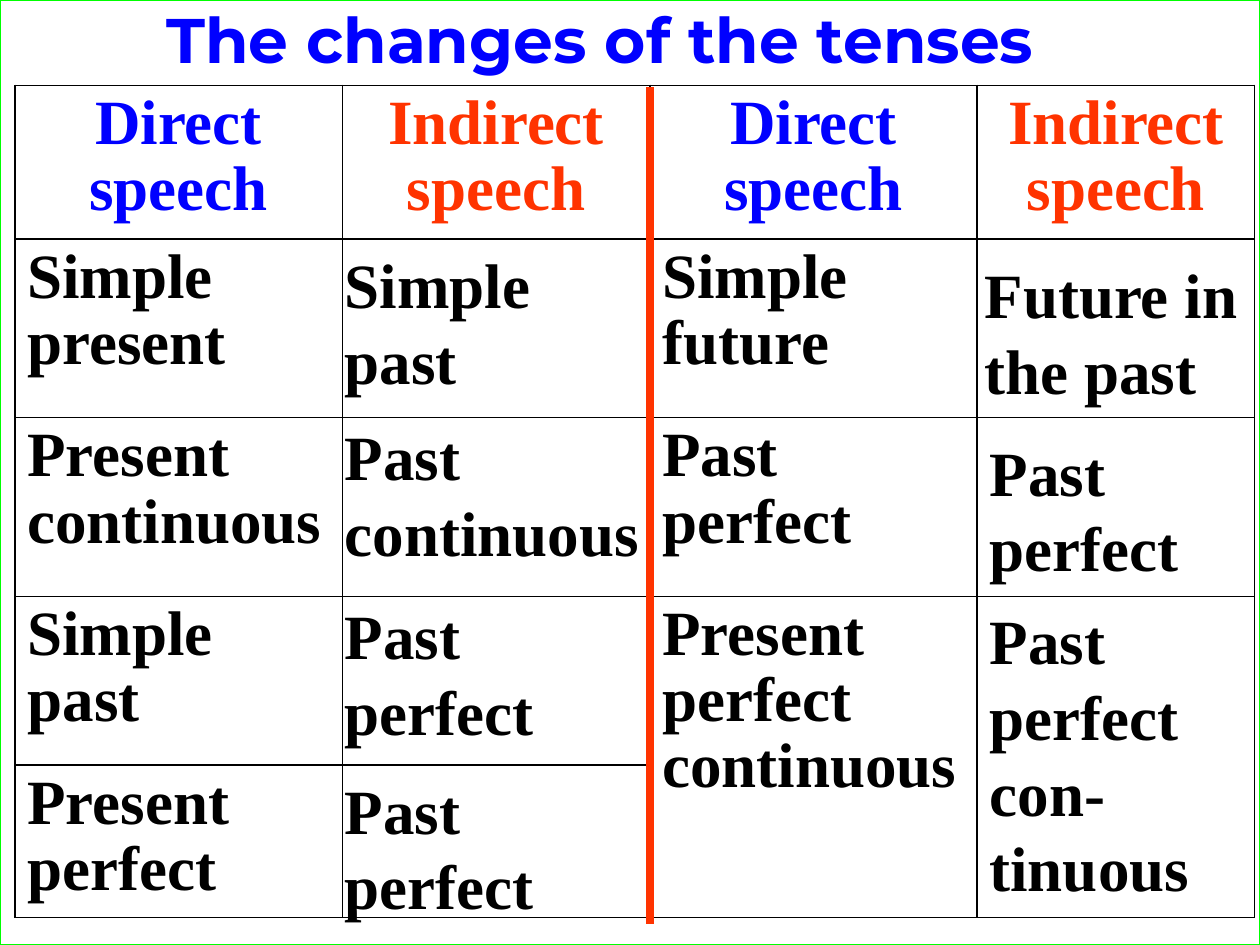
from dataclasses import dataclass

from lxml import etree
from pptx import Presentation
from pptx import util as u
from pptx.dml.color import RGBColor
from pptx.enum import shapes, text
from pptx.oxml.ns import qn


# Colours and type
@dataclass(frozen=True)
class Theme:
    blue: str = "0000FF"
    red: str = "FF3300"
    green: str = "00FF00"
    black: str = "000000"
    white: str = "FFFFFF"
    serif: str = "Times New Roman"
    sans: str = "Montserrat"
    size: float = 36


@dataclass(frozen=True)
class Note:
    """A past form laid over an empty table cell; lengths in cm."""
    x: float
    y: float
    w: float
    h: float
    lines: str


# Table and notes
T = Theme()
COLS = (6.6, 6.2, 6.6, 5.59)
ROWS = (3.1, 3.6, 3.6, 3.4, 3.08)
LEFT, TOP = 0.3, 1.72
HEADS = (("Direct speech", T.blue), ("Indirect speech", T.red)) * 2
DIRECT = {
    0: ("Simple present", "Present continuous", "Simple past", "Present perfect"),
    2: ("Simple future", "Past perfect", "Present perfect\ncontinuous"),
}
NOTES = (
    Note(6.7, 4.83, 5.2, 3.3, "Simple past"),
    Note(6.7, 8.3, 7, 3.3, "Past continuous"),
    Note(6.7, 11.91, 6.4, 3.3, "Past perfect"),
    Note(6.7, 15.42, 6.2, 3.3, "Past perfect"),
    Note(19.6, 5.03, 6.1, 3.3, "Future in the past"),
    Note(19.7, 8.61, 5.2, 3.3, "Past perfect"),
    Note(19.7, 12.01, 5.4, 6.35, "Past perfect\ncon-tinuous"),
)


def write(frame, words: str, *, color: str = T.black, font: str = T.serif,
          align=text.PP_ALIGN.LEFT, space: float = 0.95) -> None:
    """Fill a text frame, one paragraph for each line of words."""
    frame.word_wrap = True
    for i, line in enumerate(words.split("\n")):
        para = frame.add_paragraph() if i else frame.paragraphs[0]
        para.alignment = align
        para.line_spacing = space
        para.space_before = u.Pt(0)
        run = para.add_run()
        run.text = line
        run.font.name, run.font.size, run.font.bold = font, u.Pt(T.size), True
        run.font.color.rgb = RGBColor.from_string(color)


def edge(cell) -> None:
    """Clear the fill of a cell and rule its four sides."""
    cell.fill.background()
    props = cell._tc.get_or_add_tcPr()
    for i, side in enumerate(("lnL", "lnR", "lnT", "lnB")):
        line = etree.Element(qn(f"a:{side}"), w=str(u.Pt(1)))
        fill = etree.SubElement(line, qn("a:solidFill"))
        etree.SubElement(fill, qn("a:srgbClr"), val=T.black)
        props.insert(i, line)


def frame(slide, wide: int, high: int) -> None:
    """Draw the thin outline around the slide."""
    box = slide.shapes.add_shape(shapes.MSO_SHAPE.RECTANGLE, 0, 0, wide, high)
    box.shadow.inherit = False
    box.fill.solid()
    box.fill.fore_color.rgb = RGBColor.from_string(T.white)
    tint = box.fill._xPr.find(f".//{qn('a:srgbClr')}")
    etree.SubElement(tint, qn("a:alpha"), val="70000")
    box.line.color.rgb = RGBColor.from_string(T.green)
    box.line.width = u.Pt(0.75)


def grid(slide) -> None:
    """Draw the table of tenses."""
    table = slide.shapes.add_table(
        len(ROWS), len(COLS), u.Cm(LEFT), u.Cm(TOP),
        u.Cm(sum(COLS)), u.Cm(sum(ROWS))).table
    table.first_row = table.horz_banding = False
    for col, wide in zip(table.columns, COLS):
        col.width = u.Cm(wide)
    for row, high in zip(table.rows, ROWS):
        row.height = u.Cm(high)
    for cell in table.iter_cells():
        edge(cell)
    for c in (2, 3):
        table.cell(3, c).merge(table.cell(4, c))
    for c, (label, color) in enumerate(HEADS):
        write(table.cell(0, c).text_frame, label, color=color,
              align=text.PP_ALIGN.CENTER)
    for c, forms in DIRECT.items():
        for r, form in enumerate(forms, 1):
            write(table.cell(r, c).text_frame, form)


def rule(slide) -> None:
    """Part the two halves of the table with a thick line."""
    x = u.Cm(13.11)
    line = slide.shapes.add_connector(
        shapes.MSO_CONNECTOR.STRAIGHT, x, u.Cm(1.75), x, u.Cm(18.62))
    line.line.color.rgb = RGBColor.from_string(T.red)
    line.line.width = u.Pt(4.5)
    etree.SubElement(line._element.spPr, qn("a:effectLst"))


def place(slide, note: Note) -> None:
    """Lay one past form over its cell."""
    box = slide.shapes.add_textbox(
        u.Cm(note.x), u.Cm(note.y), u.Cm(note.w), u.Cm(note.h))
    write(box.text_frame, note.lines, space=1.0)


def head(slide) -> None:
    """Set the title and bring it in front of the outline."""
    title = slide.shapes.title
    title.left, title.top = u.Cm(3.1), u.Cm(0)
    title.width, title.height = u.Cm(22.3), u.Cm(1.7)
    title.text_frame.vertical_anchor = text.MSO_ANCHOR.TOP
    title.text_frame.auto_size = text.MSO_AUTO_SIZE.NONE
    write(title.text_frame, "The changes of the tenses",
          color=T.blue, font=T.sans)
    title._element.getparent().append(title._element)


def main() -> None:
    deck = Presentation()
    deck.slide_width, deck.slide_height = u.Cm(25.4), u.Cm(19.05)
    slide = deck.slides.add_slide(deck.slide_layouts[5])
    frame(slide, deck.slide_width, deck.slide_height)
    grid(slide)
    rule(slide)
    for note in NOTES:
        place(slide, note)
    head(slide)
    deck.save("out.pptx")


if __name__ == "__main__":
    main()
